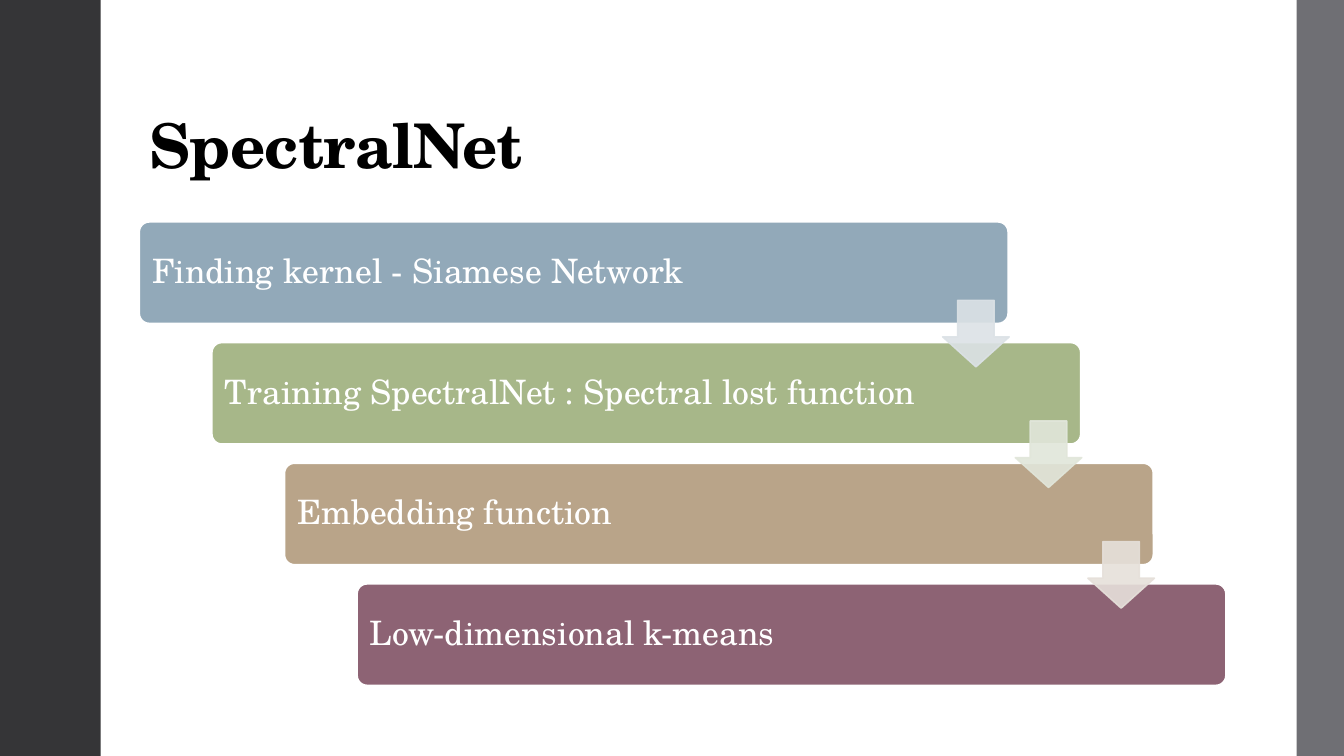
from pptx import Presentation
from pptx.dml.color import RGBColor
from pptx.enum.shapes import MSO_SHAPE
from pptx.enum.text import MSO_ANCHOR, MSO_AUTO_SIZE, PP_ALIGN
from pptx.oxml.ns import qn
from pptx.util import Inches, Pt
from lxml.etree import SubElement

FONT = "TeX Gyre Schola"
WIDTH, HEIGHT = 13.33, 7.5
LEFT, TOP = 1.38, 2.2            # first step
STEP_X, STEP_Y = 0.72, 1.197     # offset from one step to the next
BAR_W, BAR_H = 8.62, 1.01
ARROW_X, ARROW_Y, ARROW = 7.97, 0.78, 0.66   # arrow within its step

# text, bar colour, colour of the arrow to the next step
STEPS = [
    ("Finding kernel - Siamese Network", "92A9B9", "DCE2E6"),
    ("Training SpectralNet : Spectral lost function", "A7B789", "E1E6DA"),
    ("Embedding function", "B9A489", "E6E0DA"),
    ("Low-dimensional k-means", "8D6374", None),
]


def rgb(color):
    """Turn a hex string into a colour."""
    return RGBColor.from_string(color)


def add_box(slide, kind, at, fill, line=None, weight=1, adj=()):
    """Add a filled preset shape, outlined if a line colour is given."""
    sp = slide.shapes.add_shape(kind, *map(Inches, at))
    sp.shadow.inherit = False
    for i, value in enumerate(adj):
        sp.adjustments[i] = value
    sp.fill.solid()
    sp.fill.fore_color.rgb = rgb(fill)
    if line:
        sp.line.color.rgb = rgb(line)
        sp.line.width = Pt(weight)
    else:
        sp.line.fill.background()
    return sp


def set_text(sp, text, anchor, inset_y, **font):
    """Write one left-aligned paragraph in a shape and return its run."""
    tf = sp.text_frame
    frame = dict(word_wrap=True, auto_size=MSO_AUTO_SIZE.NONE, vertical_anchor=anchor,
                 margin_left=Inches(0.1), margin_right=Inches(0.1),
                 margin_top=Inches(inset_y), margin_bottom=Inches(inset_y))
    for name, value in frame.items():
        setattr(tf, name, value)
    p = tf.paragraphs[0]
    p.alignment, p.line_spacing = PP_ALIGN.LEFT, 0.9
    r = p.add_run()
    r.text = text
    color = font.pop("color")
    for name, value in dict(font, name=FONT).items():
        setattr(r.font, name, value)
    r.font.color.rgb = rgb(color)
    return r


def add_title(slide, text):
    """Place and format the title placeholder."""
    sp = slide.shapes.title
    sp.left, sp.top, sp.width, sp.height = map(Inches, (LEFT, 0.4, 10.78, 1.45))
    r = set_text(sp, text, MSO_ANCHOR.BOTTOM, 0.05, size=Pt(44), bold=True, color="000000")
    r.font._element.set("spc", "-50")


def add_step(slide, i, text, fill):
    """Add the bar of step i on the staircase."""
    at = (LEFT + i * STEP_X, TOP + i * STEP_Y, BAR_W, BAR_H)
    sp = add_box(slide, MSO_SHAPE.ROUNDED_RECTANGLE, at, fill, "FFFFFF", 1.35, [0.1])
    set_text(sp, text, MSO_ANCHOR.MIDDLE, 0.1, size=Pt(24), color="FFFFFF")


def add_arrow(slide, i, fill):
    """Add the translucent arrow from step i to the next."""
    at = (LEFT + i * STEP_X + ARROW_X, TOP + i * STEP_Y + ARROW_Y, ARROW, ARROW)
    sp = add_box(slide, MSO_SHAPE.DOWN_ARROW, at, fill, fill, 1.1, [0.55, 0.45])
    for clr in list(sp._element.spPr.iter(qn("a:srgbClr"))):
        SubElement(clr, qn("a:alpha")).set("val", "90000")


def main():
    """Build the slide and save it."""
    prs = Presentation()
    prs.slide_width, prs.slide_height = Inches(WIDTH), Inches(HEIGHT)
    slide = prs.slides.add_slide(prs.slide_layouts[5])
    add_title(slide, "SpectralNet")
    for x, width, fill in ((0, 1, "353537"), (12.86, WIDTH - 12.86, "6F6F74")):
        add_box(slide, MSO_SHAPE.RECTANGLE, (x, 0, width, HEIGHT), fill)
    for i, (text, fill, _) in enumerate(STEPS):
        add_step(slide, i, text, fill)
    for i, (_, _, fill) in enumerate(STEPS[:-1]):
        add_arrow(slide, i, fill)
    prs.save("out.pptx")


main()
